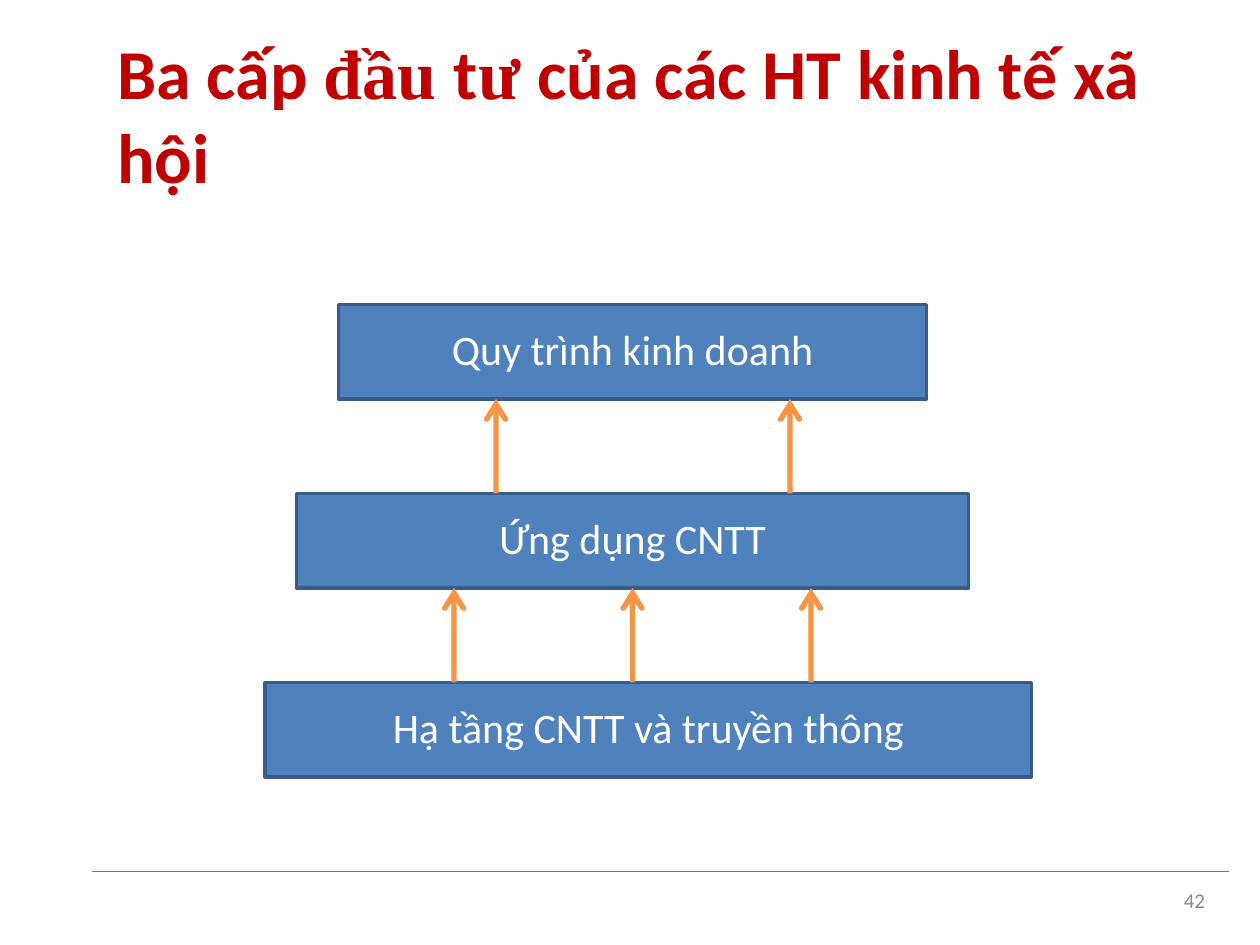
"""Build the slide on the three investment levels of socio-economic systems."""
from lxml import etree
from pptx import Presentation
from pptx.dml.color import RGBColor
from pptx.enum import shapes, text
from pptx.oxml import ns
from pptx.util import Pt

THEME = {
    "title": {"name": "Calibri", "size": Pt(40), "bold": True, "color": "C00000"},
    "level": {"name": "Calibri", "size": Pt(24), "bold": False, "color": "FFFFFF"},
    "number": {"name": "Calibri", "size": Pt(12), "bold": False, "color": "888888"},
    "accent_font": "Times New Roman",
    "level_fill": "4F81BC",
    "level_line": "385D89",
    "arrow": "F79546",
    "rule": "497DBA",
}


def write(para, words, style):
    span = para.add_run()
    span.text = words
    for key, value in style.items():
        if key == "color":
            span.font.color.rgb = RGBColor.from_string(value)
        else:
            setattr(span.font, key, value)


def paint(shape, color):
    shape.shadow.inherit = False
    shape.fill.solid()
    shape.fill.fore_color.rgb = RGBColor.from_string(color)


deck = Presentation()
deck.slide_width, deck.slide_height = Pt(720), Pt(540)
page = deck.slides.add_slide(deck.slide_layouts[5])

rule = page.shapes.add_connector(
    shapes.MSO_CONNECTOR.STRAIGHT, Pt(52.5), Pt(498), Pt(702), Pt(498))
rule.line.color.rgb = RGBColor.from_string(THEME["rule"])
rule.line.width = Pt(0.78)
etree.SubElement(rule._element.spPr, ns.qn("a:effectLst"))

title = page.shapes.title
title.left, title.top, title.width, title.height = Pt(67), Pt(15), Pt(612), Pt(98)
frame_format = {
    "margin_left": 0, "margin_right": 0, "margin_top": Pt(2), "margin_bottom": 0,
    "word_wrap": True, "auto_size": text.MSO_AUTO_SIZE.NONE,
    "vertical_anchor": text.MSO_ANCHOR.TOP,
}
for key, value in frame_format.items():
    setattr(title.text_frame, key, value)
para = title.text_frame.paragraphs[0]
para.alignment = text.PP_ALIGN.LEFT
para.line_spacing = Pt(47.8)
accent = {**THEME["title"], "name": THEME["accent_font"]}
for words, style in [
    ("Ba cấp ", THEME["title"]),
    ("đầu ", accent),
    ("t", THEME["title"]),
    ("ư ", accent),
    ("của các HT kinh tế xã hội", THEME["title"]),
]:
    write(para, words, style)

level_top, level_height, level_pitch = 174, 54, 108
arrow_half = [(6.8, 11), (6.8, 12.2), (6, 13), (4.8, 13), (4, 12.4), (1.5, 8.4), (1.5, 54)]
arrow_outline = arrow_half + [(-x, y) for x, y in reversed(arrow_half)]
levels = [
    ("Quy trình kinh doanh", 193.5, 336, []),
    ("Ứng dụng CNTT", 169.5, 384, [283.5, 451.5]),
    ("Hạ tầng CNTT và truyền thông", 151.5, 438, [259.5, 361.5, 463.5]),
]
for row, (label, left, width, arrows) in enumerate(levels):
    top = level_top + row * level_pitch
    box = page.shapes.add_shape(
        shapes.MSO_SHAPE.RECTANGLE, Pt(left), Pt(top), Pt(width), Pt(level_height))
    paint(box, THEME["level_fill"])
    box.line.color.rgb = RGBColor.from_string(THEME["level_line"])
    box.line.width = Pt(2)
    box.text_frame.vertical_anchor = text.MSO_ANCHOR.MIDDLE
    box.text_frame.margin_bottom = Pt(7)
    para = box.text_frame.paragraphs[0]
    para.alignment = text.PP_ALIGN.CENTER
    write(para, label, THEME["level"])
    tip = top - level_pitch + level_height
    for center in arrows:
        outline = page.shapes.build_freeform(Pt(center), Pt(tip))
        outline.add_line_segments(
            [(Pt(center + x), Pt(tip + y)) for x, y in arrow_outline], close=True)
        arrow = outline.convert_to_shape()
        paint(arrow, THEME["arrow"])
        arrow.line.fill.background()

box = page.shapes.add_textbox(Pt(676.5), Pt(509), Pt(19.5), Pt(14))
for key, value in {**frame_format, "margin_top": 0, "word_wrap": False}.items():
    setattr(box.text_frame, key, value)
para = box.text_frame.paragraphs[0]
para.alignment = text.PP_ALIGN.LEFT
para.line_spacing = Pt(12.4)
write(para, "42", THEME["number"])

deck.save("out.pptx")
